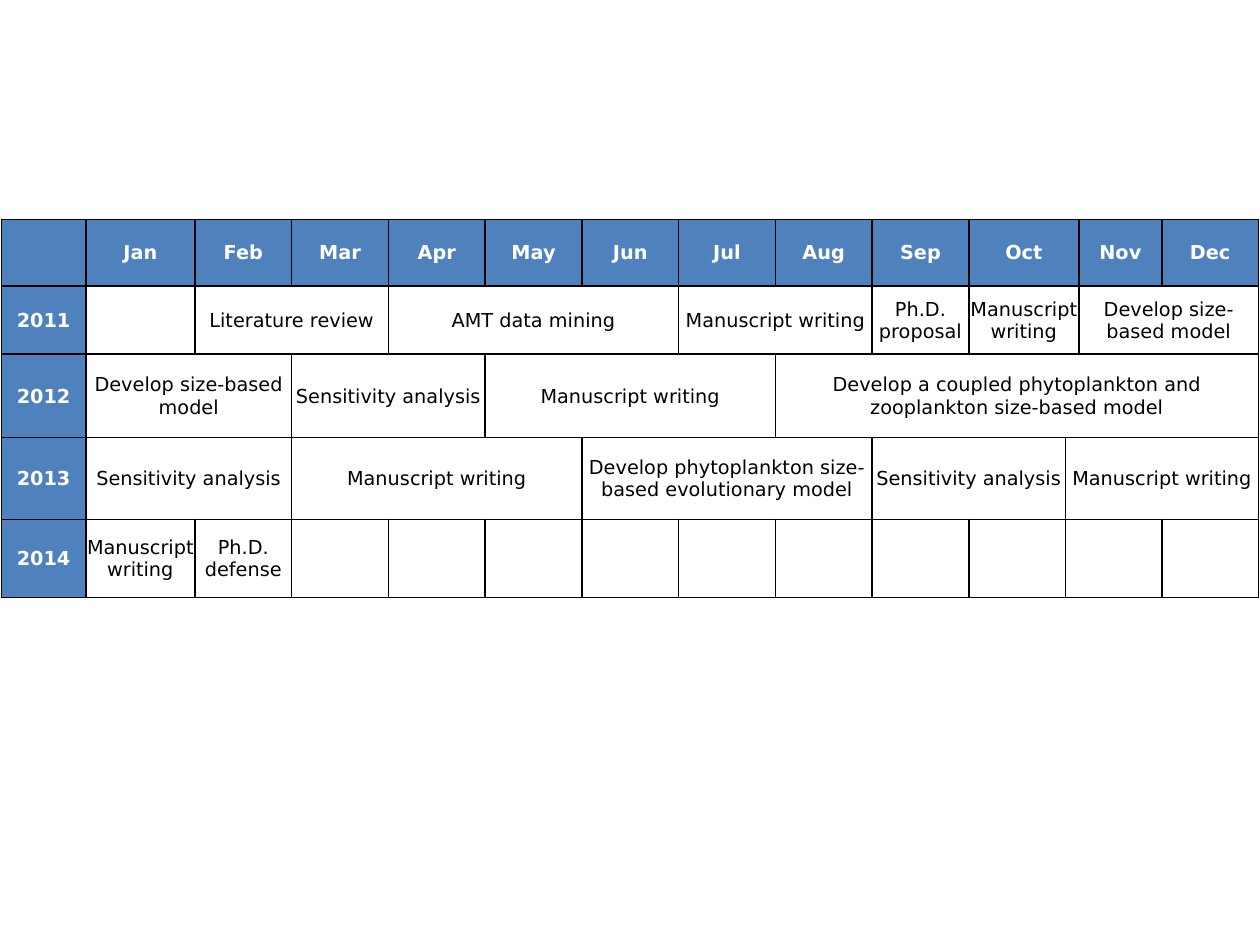
from lxml.etree import SubElement
from pptx import Presentation
from pptx.dml.color import RGBColor
from pptx.enum.text import MSO_ANCHOR as Anchor, PP_ALIGN as Align
from pptx.oxml.ns import qn
from pptx.util import Cm, Pt

BLUE = RGBColor(0x4F, 0x81, 0xBD)
WHITE = RGBColor(0xFF, 0xFF, 0xFF)
BLACK = RGBColor(0x00, 0x00, 0x00)
FONT = "DejaVu Sans"

COLUMN_WIDTHS = [1.7, 2.2] + [1.95] * 9 + [0.27, 1.67, 1.95]
ROW_HEIGHTS = [1.35, 1.37, 1.68, 1.65, 1.57]

MONTHS = [(month, 2 if month == "Oct" else 1) for month in
          "Jan Feb Mar Apr May Jun Jul Aug Sep Oct Nov Dec".split()]
SCHEDULE = [
    ("", MONTHS),
    ("2011", [("", 1), ("Literature review", 2), ("AMT data mining", 3),
              ("Manuscript writing", 2), ("Ph.D. proposal", 1),
              ("Manuscript writing", 2), ("Develop size-based model", 2)]),
    ("2012", [("Develop size-based model", 2), ("Sensitivity analysis", 2),
              ("Manuscript writing", 3),
              ("Develop a coupled phytoplankton and zooplankton size-based model", 6)]),
    ("2013", [("Sensitivity analysis", 2), ("Manuscript writing", 3),
              ("Develop phytoplankton size-based evolutionary model", 3),
              ("Sensitivity analysis", 2), ("Manuscript writing", 3)]),
    ("2014", [("Manuscript writing", 1), ("Ph.D. defense", 1)]
     + [("", 1)] * 8 + [("", 2), ("", 1)]),
]


def add_borders(cell):
    properties = cell._tc.get_or_add_tcPr()
    for side in ("a:lnL", "a:lnR", "a:lnT", "a:lnB"):
        line = SubElement(properties, qn(side), w=str(Pt(1)))
        fill = SubElement(line, qn("a:solidFill"))
        SubElement(fill, qn("a:srgbClr"), val=str(BLACK))


def format_cell(cell, text, is_header):
    cell.margin_left = cell.margin_right = cell.margin_top = Cm(0.02)
    cell.margin_bottom = 0
    cell.vertical_anchor = Anchor.MIDDLE
    if is_header:
        cell.fill.solid()
        cell.fill.fore_color.rgb = BLUE
    else:
        cell.fill.background()
    if text:
        paragraph = cell.text_frame.paragraphs[0]
        paragraph.alignment = Align.CENTER
        run = paragraph.add_run()
        run.text = text
        run.font.name = FONT
        run.font.size = Pt(11)
        run.font.bold = is_header
        run.font.color.rgb = WHITE if is_header else BLACK


def add_schedule(slide, left, top, width, height):
    table = slide.shapes.add_table(
        len(ROW_HEIGHTS), len(COLUMN_WIDTHS), left, top, width, height).table
    table.horz_banding = False
    table.first_row = False
    for column, column_width in zip(table.columns, COLUMN_WIDTHS):
        column.width = Cm(column_width)
    for row, row_height in zip(table.rows, ROW_HEIGHTS):
        row.height = Cm(row_height)
    for cell in table.iter_cells():
        add_borders(cell)
    for row_index, (year, tasks) in enumerate(SCHEDULE):
        column_index = 0
        for text, span in [(year, 1)] + tasks:
            cell = table.cell(row_index, column_index)
            if span > 1:
                cell.merge(table.cell(row_index, column_index + span - 1))
            format_cell(cell, text, row_index == 0 or column_index == 0)
            column_index += span


def main():
    presentation = Presentation()
    presentation.slide_width = Cm(25.4)
    presentation.slide_height = Cm(19.05)
    slide = presentation.slides.add_slide(presentation.slide_layouts[6])
    add_schedule(slide, Cm(0.03), Cm(4.42),
                 Cm(sum(COLUMN_WIDTHS)), Cm(sum(ROW_HEIGHTS)))
    presentation.save("out.pptx")


if __name__ == "__main__":
    main()
